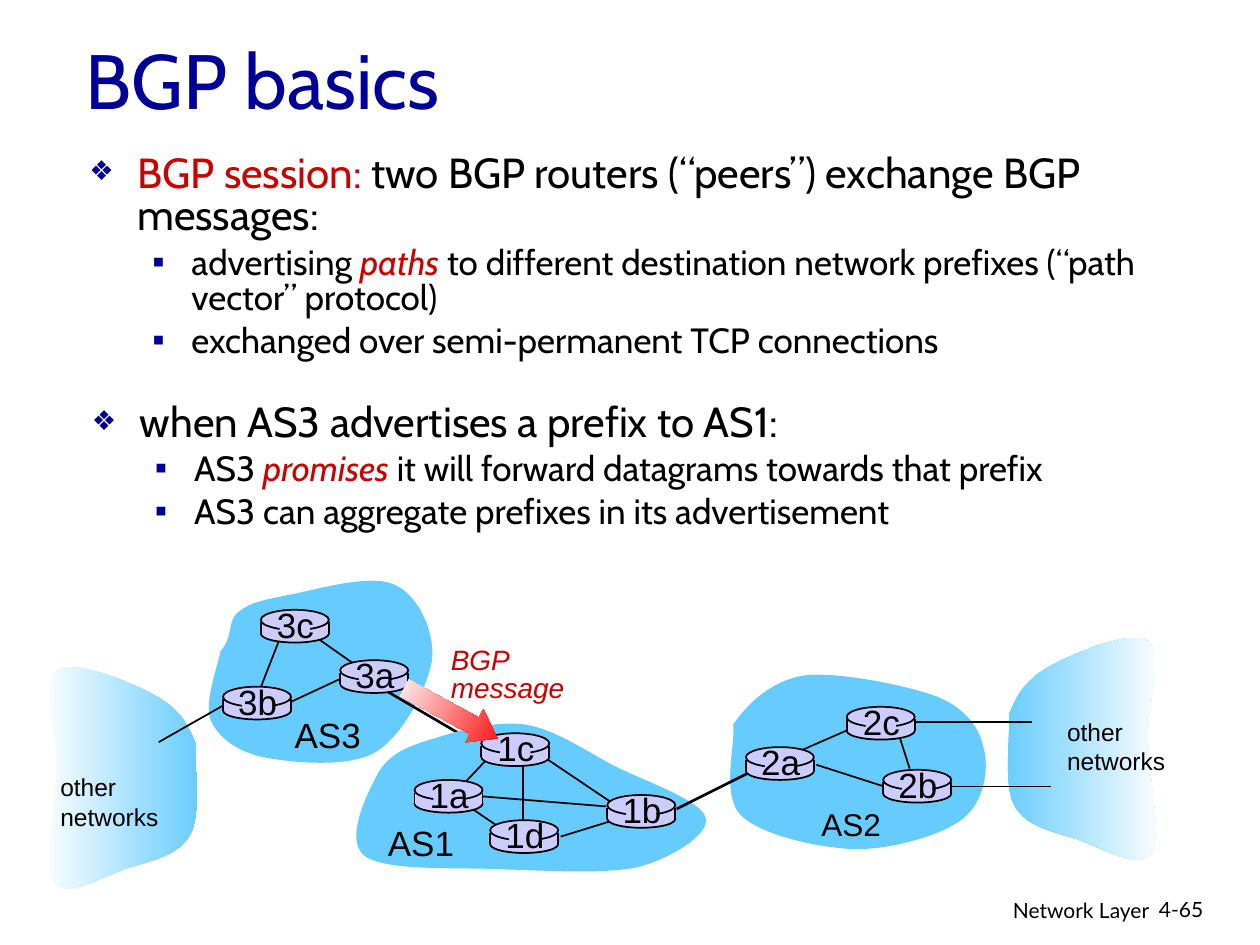
import dataclasses

import lxml.etree
import pptx
import pptx.dml.color
import pptx.enum.shapes
import pptx.enum.text
import pptx.oxml.ns
import pptx.util

Inches = pptx.util.Inches
Shapes = pptx.enum.shapes.MSO_SHAPE
Align = pptx.enum.text.PP_ALIGN
qualified = pptx.oxml.ns.qn


@dataclasses.dataclass(frozen=True)
class Theme:
    navy: str = "000099"
    red: str = "CC0000"
    black: str = "000000"
    white: str = "FFFFFF"
    sky: str = "66CCFF"
    lilac: str = "CCCCFF"
    arrow: str = "FF0000"
    heading_font: str = "Cabin"
    label_font: str = "Arial"
    footer_font: str = "Lato"
    title_size: int = 44
    list_sizes: tuple = (24, 20)
    label_size: int = 20
    area_size: int = 18
    message_size: int = 16
    network_size: int = 14
    footer_size: int = 12


THEME = Theme()
BULLETS = (("❖", 0.38, -0.38, 65), ("▪", 0.81, -0.31, 100))

OTHER_NETWORKS = [
    (8.01, 5.67), (8.07, 5.51), (8.15, 5.39), (8.33, 5.29), (8.51, 5.19), (8.98, 4.99), (9.11, 5.09),
    (9.24, 5.18), (9.1, 5.59), (9.11, 5.87), (9.11, 6.16), (9.23, 6.65), (9.13, 6.78),
    (9.04, 6.91), (8.73, 6.72), (8.55, 6.66), (8.36, 6.6), (8.14, 6.56), (8.05, 6.39),
    (7.96, 6.23), (8.02, 5.82), (8.01, 5.67)]
AS1 = [
    (3.01, 6.12), (3.11, 5.96), (3.28, 5.91), (3.48, 5.85), (3.67, 5.79), (3.94, 5.72), (4.17, 5.75),
    (4.4, 5.79), (4.62, 5.94), (4.86, 6.07), (5.09, 6.19), (5.57, 6.35), (5.6, 6.49),
    (5.64, 6.62), (5.33, 6.81), (5.07, 6.88), (4.8, 6.94), (4.36, 6.91), (4, 6.9),
    (3.64, 6.88), (3.06, 6.92), (2.89, 6.79), (2.73, 6.66), (2.92, 6.28), (3.01, 6.12)]
AS2 = [
    (5.82, 5.75), (5.93, 5.59), (6.12, 5.4), (6.39, 5.36), (6.66, 5.33), (7.2, 5.44), (7.44, 5.53),
    (7.68, 5.63), (7.78, 5.79), (7.81, 5.95), (7.85, 6.11), (7.81, 6.37), (7.64, 6.5),
    (7.47, 6.63), (7.09, 6.74), (6.79, 6.74), (6.5, 6.73), (6.04, 6.63), (5.88, 6.47),
    (5.72, 6.31), (5.84, 5.9), (5.82, 5.75)]
AS3 = [
    (1.75, 5.17), (1.86, 5.04), (1.8, 4.93), (1.89, 4.86), (1.98, 4.78), (2.1, 4.76), (2.3, 4.72),
    (2.51, 4.68), (2.94, 4.55), (3.13, 4.64), (3.32, 4.72), (3.45, 5.01), (3.43, 5.23),
    (3.4, 5.45), (3.2, 5.84), (2.98, 5.97), (2.76, 6.1), (2.3, 6.05), (2.09, 6.01),
    (1.87, 5.96), (1.73, 5.85), (1.67, 5.71), (1.62, 5.57), (1.73, 5.28), (1.75, 5.17)]

AS3_LINKS = [(2.31, 5.57, 2.74, 5.37), (2.81, 5.27, 2.54, 5.08), (2.22, 5.07, 2.06, 5.48)]
AS1_LINKS = [(3.87, 6.02, 3.7, 6.2), (4.15, 6.06, 4.15, 6.56), (4.32, 6.01, 4.87, 6.38),
             (4.87, 6.51, 4.45, 6.64), (4.81, 6.4, 3.82, 6.32), (3.72, 6.4, 3.94, 6.55)]
AS2_LINKS = [(6.28, 5.99, 6.76, 5.78), (6.48, 6.07, 7.01, 6.24), (7.14, 5.85, 7.22, 6.1)]
ROUTERS = [("3b", 1.77, 5.45), ("3c", 2.07, 4.84), ("3a", 2.7, 5.24), ("1c", 3.82, 5.82), ("1a", 3.29, 6.19),
           ("1d", 3.89, 6.51), ("1b", 4.82, 6.31), ("2a", 5.92, 5.93), ("2c", 6.72, 5.61), ("2b", 7.01, 6.11)]

SESSION_LIST = [
    (0, [("BGP session: ", THEME.red, False),
         ("two BGP routers (“peers”) exchange BGP messages:", THEME.black, False)]),
    (1, [("advertising ", THEME.black, False), ("paths ", THEME.red, True),
         ("to different destination network prefixes (“path vector” protocol)", THEME.black, False)]),
    (1, [("exchanged over semi-permanent TCP connections", THEME.black, False)])]
PREFIX_LIST = [
    (0, [("when AS3 advertises a prefix to AS1:", THEME.black, False)]),
    (1, [("AS3 ", THEME.black, False), ("promises", THEME.red, True),
         (" it will forward datagrams towards that prefix", THEME.black, False)]),
    (1, [("AS3 can aggregate prefixes in its advertisement", THEME.black, False)])]


def rgb(color):
    return pptx.dml.color.RGBColor.from_string(color)


class SlideBuilder:
    def __init__(self, slide, theme):
        self.slide = slide
        self.theme = theme

    def run(self, paragraph, text, size, font, color, italic=False):
        run = paragraph.add_run()
        run.text = text
        run.font.size = pptx.util.Pt(size)
        run.font.name = font
        run.font.color.rgb = rgb(color)
        run.font.italic = italic

    def place(self, shape, left, top, width, height):
        shape.left, shape.top = Inches(left), Inches(top)
        shape.width, shape.height = Inches(width), Inches(height)
        shape.text_frame.auto_size = pptx.enum.text.MSO_AUTO_SIZE.NONE

    def title(self, text, *box):
        shape = self.slide.shapes.title
        self.place(shape, *box)
        shape.text_frame.vertical_anchor = pptx.enum.text.MSO_ANCHOR.MIDDLE
        paragraph = shape.text_frame.paragraphs[0]
        paragraph.alignment = Align.LEFT
        self.run(paragraph, text, self.theme.title_size, self.theme.heading_font, self.theme.navy)

    def bullets(self, placeholder, items, *box):
        self.place(placeholder, *box)
        frame = placeholder.text_frame
        for index, (level, runs) in enumerate(items):
            paragraph = frame.add_paragraph() if index else frame.paragraphs[0]
            character, margin, indent, percent = BULLETS[level]
            size = self.theme.list_sizes[level]
            paragraph.level = level
            properties = paragraph._p.get_or_add_pPr()
            properties.set("marL", str(Inches(margin)))
            properties.set("indent", str(Inches(indent)))
            color = lxml.etree.SubElement(properties, qualified("a:buClr"))
            lxml.etree.SubElement(color, qualified("a:srgbClr"), val=self.theme.navy)
            lxml.etree.SubElement(properties, qualified("a:buSzPct"), val=str(percent * 1000))
            lxml.etree.SubElement(properties, qualified("a:buChar"), char=character)
            paragraph.line_spacing = 0.85
            paragraph.space_before = pptx.util.Pt(size * 0.2 if index else 0)
            for text, run_color, italic in runs:
                self.run(paragraph, text, size, self.theme.heading_font, run_color, italic)

    def text(self, lines, left, top, width, height, size, font=None, color=None, italic=False,
             align=Align.LEFT, wrap=False, spacing=1.0, parent=None):
        shape = (parent or self.slide).shapes.add_textbox(*map(Inches, (left, top, width, height)))
        frame = shape.text_frame
        frame.word_wrap = wrap
        if not wrap:
            frame.auto_size = pptx.enum.text.MSO_AUTO_SIZE.SHAPE_TO_FIT_TEXT
        for index, line in enumerate(lines):
            paragraph = frame.add_paragraph() if index else frame.paragraphs[0]
            paragraph.alignment = align
            paragraph.line_spacing = spacing
            self.run(paragraph, line, size, font or self.theme.label_font, color or self.theme.black, italic)

    def paint(self, shape, colors, outlined=False):
        shape.shadow.inherit = False
        if len(colors) == 1:
            shape.fill.solid()
            shape.fill.fore_color.rgb = rgb(colors[0])
        else:
            shape.fill.gradient()
            shape.fill.gradient_angle = 0
            for stop, color in zip(shape.fill.gradient_stops, colors):
                stop.color.rgb = rgb(color)
        if outlined:
            shape.line.color.rgb = rgb(self.theme.black)
            shape.line.width = pptx.util.Pt(1)
        else:
            shape.line.fill.background()

    def cloud(self, controls, *colors):
        points = [(Inches(x), Inches(y)) for x, y in controls]
        builder = self.slide.shapes.build_freeform(*points[0])
        builder.add_line_segments(points[1:], close=True)
        shape = builder.convert_to_shape()
        segments = list(shape._element.iter(qualified("a:lnTo")))
        for first in range(0, len(segments), 3):
            curve = lxml.etree.Element(qualified("a:cubicBezTo"))
            segments[first].addprevious(curve)
            for segment in segments[first:first + 3]:
                curve.append(segment[0])
                segment.getparent().remove(segment)
        self.paint(shape, colors)

    def shape(self, kind, left, top, width, height, *colors, outlined=False, parent=None):
        shape = (parent or self.slide).shapes.add_shape(kind, *map(Inches, (left, top, width, height)))
        self.paint(shape, colors, outlined)
        return shape

    def line(self, *ends, weight=1, parent=None):
        connector = (parent or self.slide).shapes.add_connector(
            pptx.enum.shapes.MSO_CONNECTOR.STRAIGHT, *map(Inches, ends))
        connector.line.color.rgb = rgb(self.theme.black)
        connector.line.width = pptx.util.Pt(weight)
        lxml.etree.SubElement(connector._element.spPr, qualified("a:effectLst"))

    def router(self, name, left, top):
        group = self.slide.shapes.add_group_shape()
        lilac = self.theme.lilac
        self.shape(Shapes.OVAL, left, top + 0.12, 0.54, 0.14, lilac, outlined=True, parent=group)
        self.shape(Shapes.RECTANGLE, left, top + 0.1, 0.54, 0.09, lilac, parent=group)
        for x in (left, left + 0.54):
            self.line(x, top + 0.1, x, top + 0.19, parent=group)
        self.shape(Shapes.OVAL, left, top, 0.54, 0.16, lilac, outlined=True, parent=group)
        self.shape(Shapes.RECTANGLE, left + 0.15, top + 0.02, 0.24, 0.21, lilac, parent=group)
        self.text([name], left + 0.02, top - 0.1, 0.51, 0.43, self.theme.label_size,
                  align=Align.CENTER, parent=group)


def main():
    presentation = pptx.Presentation()
    presentation.slide_width, presentation.slide_height = Inches(10), Inches(7.5)
    slide = presentation.slides.add_slide(presentation.slide_layouts.get_by_name("Two Content"))
    builder = SlideBuilder(slide, THEME)

    builder.title("BGP basics", 0.58, 0, 8.5, 1.25)
    builder.bullets(slide.placeholders[1], SESSION_LIST, 0.61, 1.17, 9.3, 2.18)
    builder.bullets(slide.placeholders[2], PREFIX_LIST, 0.63, 3.15, 9.3, 2.57)

    builder.cloud(OTHER_NETWORKS, THEME.sky, THEME.white)
    builder.cloud([(9.56 - x, y + 0.23) for x, y in OTHER_NETWORKS], THEME.white, THEME.sky)
    builder.cloud(AS2, THEME.sky)
    builder.cloud(AS3, THEME.sky)
    builder.line(3.06, 5.48, 3.83, 5.93, weight=1.5)
    builder.cloud(AS1, THEME.sky)

    for link in AS3_LINKS + AS1_LINKS + AS2_LINKS + [(1.77, 5.6, 1.26, 5.89)]:
        builder.line(*link)
    for link in [(7.26, 5.73, 8.19, 5.73), (7.53, 6.24, 8.34, 6.24)]:
        builder.line(*link, weight=0.75)
    builder.line(5.37, 6.42, 5.95, 6.13, weight=1.5)
    for router in ROUTERS:
        builder.router(*router)

    builder.text(["AS3"], 2.24, 5.61, 0.73, 0.43, THEME.label_size)
    builder.text(["AS1"], 2.98, 6.47, 0.73, 0.43, THEME.label_size)
    builder.text(["AS2"], 6.42, 6.34, 0.67, 0.4, THEME.area_size)
    for left, top in [(8.37, 5.64), (0.38, 6.08)]:
        builder.text(["other", "networks"], left, top, 0.98, 0.57, THEME.network_size)

    arrow = builder.shape(Shapes.LEFT_ARROW, 3.16, 5.51, 0.84, 0.3, THEME.arrow, THEME.white)
    arrow.adjustments[0], arrow.adjustments[1] = 0.5, 0.7
    arrow.rotation = 208.5
    builder.text(["BGP", "message"], 3.48, 5.09, 1.1, 0.56, THEME.message_size,
                 color=THEME.red, italic=True, spacing=0.85)

    builder.text(["Network Layer"], 6.05, 7.07, 3.17, 0.31, THEME.footer_size,
                 font=THEME.footer_font, align=Align.RIGHT, wrap=True)
    builder.text(["4-65"], 9.1, 7.07, 0.74, 0.3, THEME.footer_size, font=THEME.footer_font, wrap=True)
    presentation.save("out.pptx")


if __name__ == "__main__":
    main()
